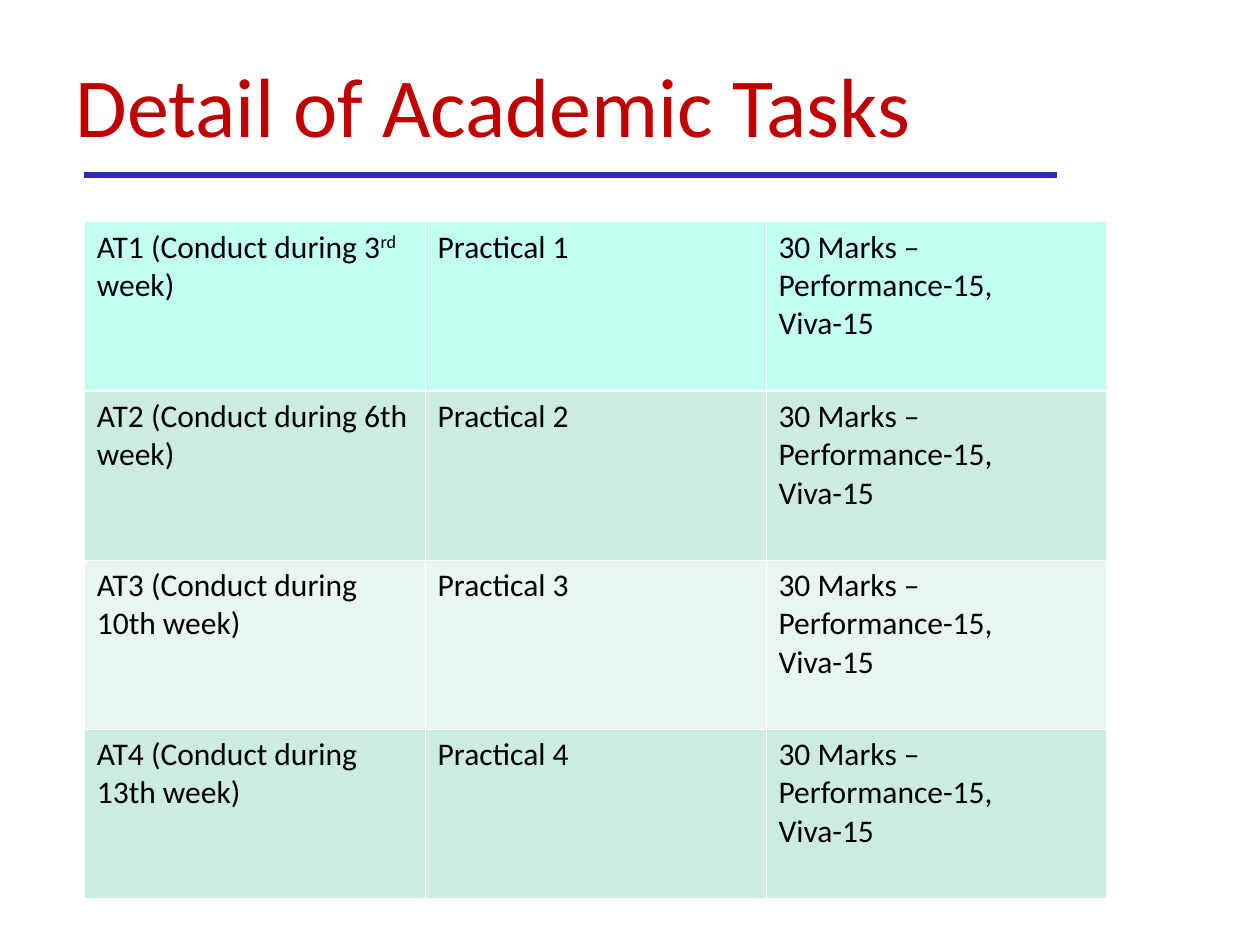
from lxml import etree
from pptx import Presentation
from pptx.dml.color import RGBColor
from pptx.enum import shapes, text
from pptx.oxml.ns import qn
from pptx.util import Cm, Pt

FONT = "Calibri"
RED = RGBColor(0xC0, 0x00, 0x00)
BLUE = RGBColor(0x2D, 0x2D, 0xB9)
BLACK = RGBColor(0x00, 0x00, 0x00)
WHITE = RGBColor(0xFF, 0xFF, 0xFF)
AQUA = RGBColor(0xC2, 0xFF, 0xF0)
GREEN = RGBColor(0xCB, 0xEC, 0xDE)
PALE = RGBColor(0xE7, 0xF6, 0xEF)

LEFT = Cm(1.7)
COL_W, ROW_H = Cm(6.87), Cm(3.41)
THIN, THICK = Pt(0.45), Pt(1.47)

# Week number, its raised ending, and the row colour
TASKS = [("3", "rd", AQUA), ("6th", "", GREEN), ("10th", "", PALE), ("13th", "", GREEN)]
MARKS = "30 Marks –Performance-15, Viva-15"


def format_run(r, size, color):
    r.font.name, r.font.size, r.font.color.rgb = FONT, Pt(size), color


def add_title(s, title):
    sp = s.shapes.title
    sp.left, sp.top, sp.width, sp.height = Cm(1.27), Cm(0.76), Cm(22.5), Cm(2.84)
    tf = sp.text_frame
    tf.text = title
    tf.vertical_anchor = text.MSO_ANCHOR.MIDDLE
    p = tf.paragraphs[0]
    p.alignment = text.PP_ALIGN.LEFT
    p.line_spacing = 0.97
    format_run(p.runs[0], 48, RED)


def add_rule(s, y, right):
    line = s.shapes.add_connector(shapes.MSO_CONNECTOR.STRAIGHT, LEFT, y, right, y)
    line.line.color.rgb = BLUE
    line.line.width = Pt(3)
    etree.SubElement(line._element.spPr, qn("a:effectLst"))


def set_borders(cell, top, bottom):
    tc_pr = cell._tc.get_or_add_tcPr()
    for side, width in (("L", THIN), ("R", THIN), ("T", top), ("B", bottom)):
        ln = etree.SubElement(tc_pr, qn(f"a:ln{side}"), w=str(int(width)))
        fill = etree.SubElement(ln, qn("a:solidFill"))
        etree.SubElement(fill, qn("a:srgbClr"), val=str(WHITE))


def fill_cell(cell, parts, color):
    """Write the parts as runs; every second part is superscript."""
    p = cell.text_frame.paragraphs[0]
    for i, part in enumerate(parts):
        r = p.add_run()
        r.text = part
        format_run(r, 18, BLACK)
        if i % 2:
            r._r.get_or_add_rPr().set("baseline", "30000")
    cell.fill.solid()
    cell.fill.fore_color.rgb = color


def add_task_table(s, top):
    rows, cols = len(TASKS), 3
    table = s.shapes.add_table(rows, cols, LEFT, top, COL_W * cols, ROW_H * rows).table
    table.first_row = table.horz_banding = False
    for col in table.columns:
        col.width = COL_W
    for i, (week, ending, color) in enumerate(TASKS):
        table.rows[i].height = ROW_H
        start = f"AT{i + 1} (Conduct during {week}"
        period = [start, ending, " week)"] if ending else [start + " week)"]
        for j, parts in enumerate((period, [f"Practical {i + 1}"], [MARKS])):
            cell = table.cell(i, j)
            set_borders(cell, THICK if i == 1 else THIN, THICK if i == 0 else THIN)
            fill_cell(cell, parts, color)


def main():
    prs = Presentation()
    prs.slide_width, prs.slide_height = Cm(25.4), Cm(19.05)
    s = prs.slides.add_slide(prs.slide_layouts[5])

    # Heading with its rule
    add_title(s, "Detail of Academic Tasks")
    add_rule(s, Cm(3.53), Cm(21.31))

    # Schedule of tasks
    add_task_table(s, Cm(4.47))

    prs.save("out.pptx")


if __name__ == "__main__":
    main()
